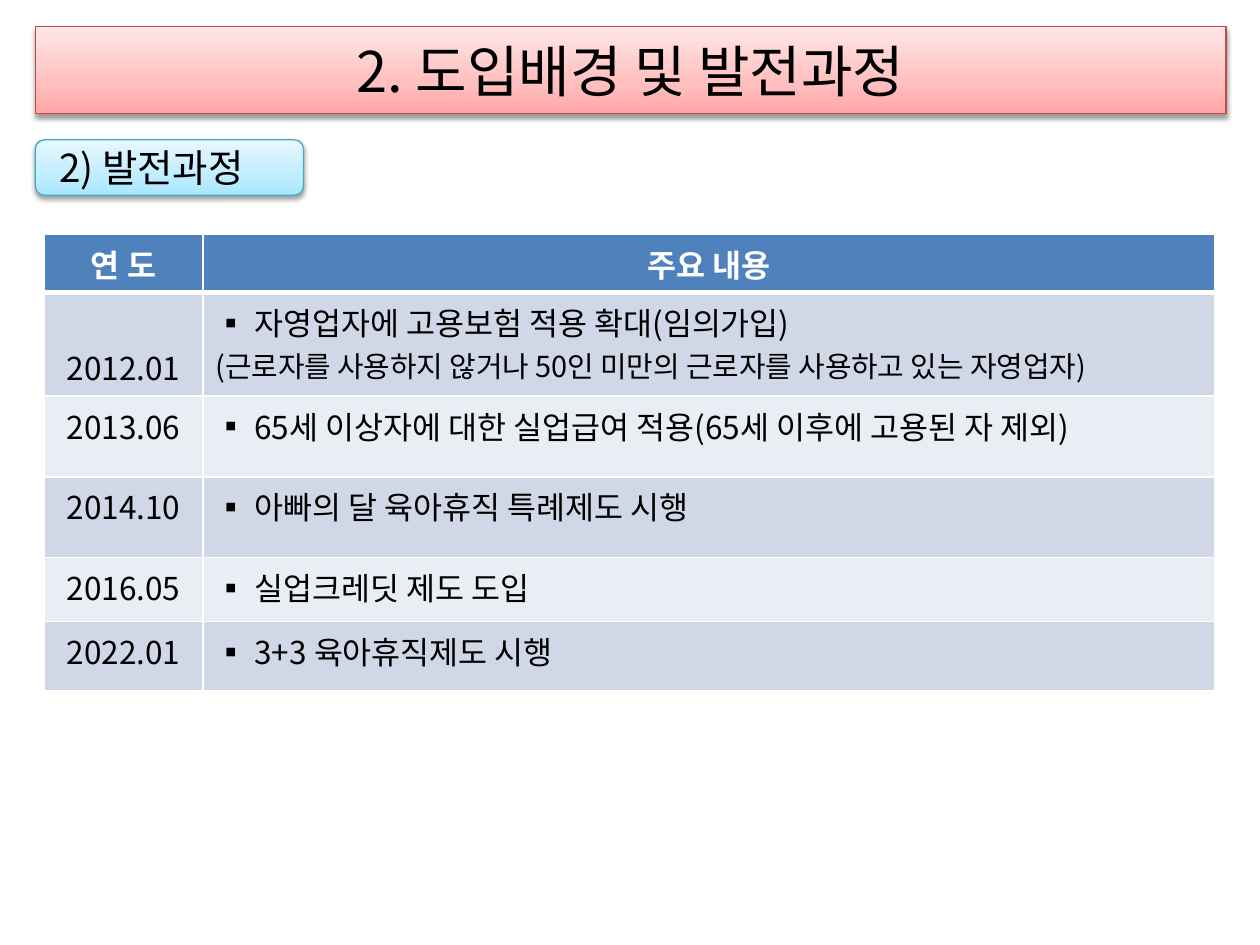
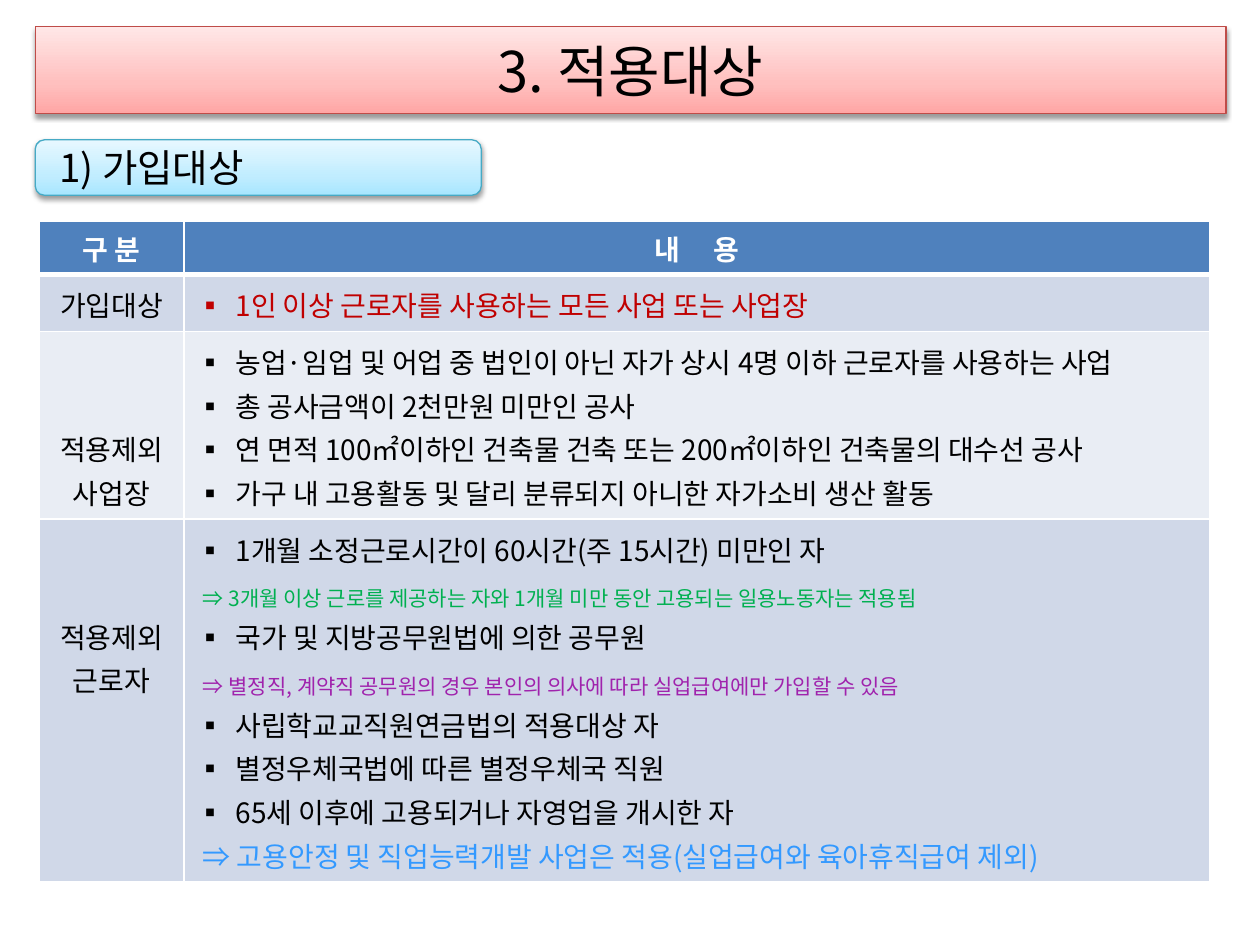
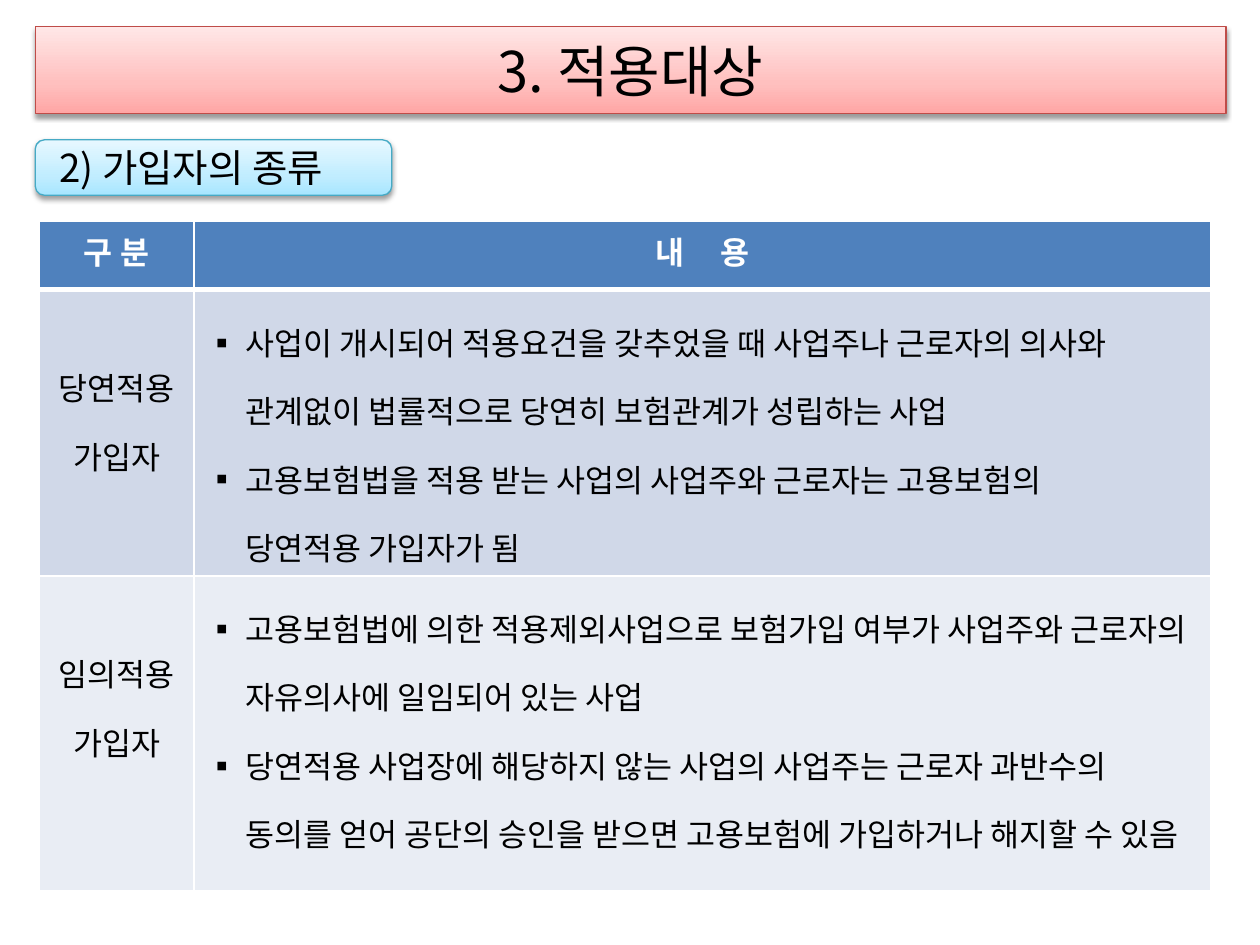
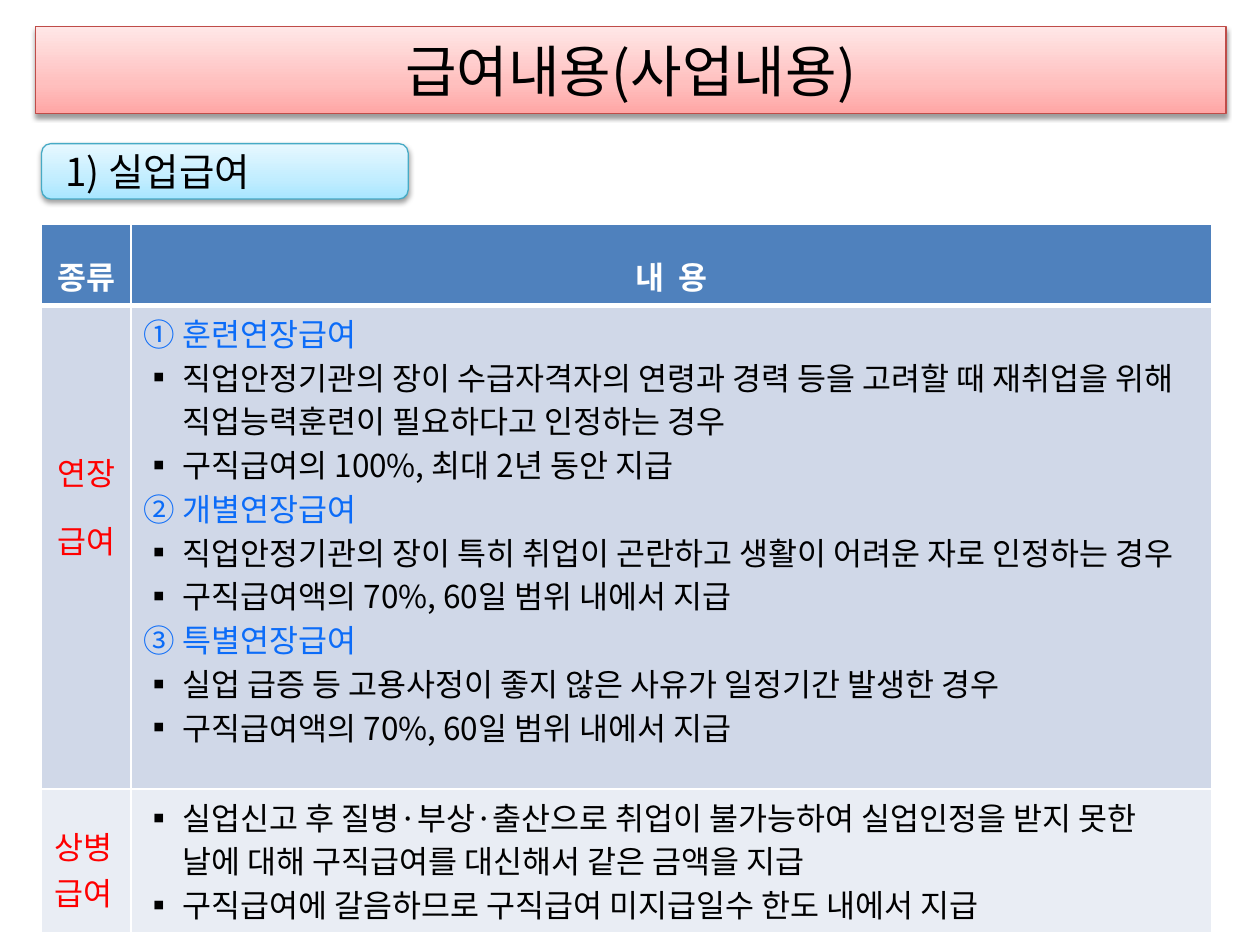
from dataclasses import dataclass, field

from lxml import etree
from pptx import Presentation
from pptx.dml.color import RGBColor
from pptx.enum.shapes import MSO_SHAPE
from pptx.enum.text import MSO_ANCHOR, PP_ALIGN
from pptx.oxml.ns import qn
from pptx.util import Inches, Pt

RECT, ROUND_RECT = MSO_SHAPE.RECTANGLE, MSO_SHAPE.ROUNDED_RECTANGLE
LEFT, CENTER = PP_ALIGN.LEFT, PP_ALIGN.CENTER
MIDDLE = MSO_ANCHOR.MIDDLE


@dataclass(frozen=True)
class Theme:
    font: str = "Noto Sans CJK KR"
    title_size: float = 32
    tab_size: float = 22
    text_size: float = 18
    small_size: float = 16
    note_size: float = 12
    black: str = "000000"
    white: str = "FFFFFF"
    header: str = "4F81BD"
    bands: tuple = ("D0D8E8", "E9EDF4")
    title_fill: tuple = ("FFA6A5", "FFC0BF", "FFE7E7")
    title_line: str = "BF4C48"
    tab_fill: tuple = ("A7E6FF", "C1EDFF", "E7F8FF")
    tab_line: str = "46AAC5"
    gradient_stops: tuple = (0, 35, 100)
    dark_red: str = "C00000"
    red: str = "FF0000"
    green: str = "00B050"
    purple: str = "A023AD"
    sky: str = "3399FF"
    blue: str = "0C6CF8"


THEME = Theme()
FIXED = Pt(25)  # exact line pitch of the dense tables


@dataclass
class Para:
    text: str
    color: str = THEME.black
    size: float = THEME.text_size
    spacing: object = None
    bullet: bool = False
    align: object = LEFT
    indent: float = 0
    bold: bool = False
    gap: float = 0  # extra points of width for each space


@dataclass
class Cell:
    paras: list
    drop: float = 0  # distance by which the text is lowered


@dataclass
class Grid:
    left: float
    top: float
    cols: tuple
    heights: tuple
    header: list
    rows: list = field(default_factory=list)


# Text
def add_run(p, text, para):
    r = p.add_run()
    r.text = text
    r.font.name = THEME.font
    r.font.size = Pt(para.size)
    r.font.bold = para.bold
    r.font.color.rgb = RGBColor.from_string(para.color)
    rPr = r._r.get_or_add_rPr()
    ea = etree.Element(qn("a:ea"), typeface=THEME.font)
    rPr.find(qn("a:latin")).addnext(ea)
    if para.gap and text == " ":
        rPr.set("spc", str(int(para.gap * 100)))


def add_bullet(p):
    pPr = p._p.get_or_add_pPr()
    pPr.set("marL", str(Inches(0.31)))
    pPr.set("indent", str(Inches(-0.31)))
    etree.SubElement(pPr, qn("a:buFont"), typeface=THEME.font)
    etree.SubElement(pPr, qn("a:buChar"), char="▪")


def write(tf, paras):
    for i, para in enumerate(paras):
        p = tf.paragraphs[0] if i == 0 else tf.add_paragraph()
        if para.bullet:
            add_bullet(p)
        elif para.indent:
            p._p.get_or_add_pPr().set("marL", str(Inches(para.indent)))
        p.alignment = para.align
        if para.spacing:
            p.line_spacing = para.spacing
        for j, line in enumerate(para.text.split("\n")):
            if j:
                p.add_line_break()
            parts = line.partition(" ") if para.gap else (line,)
            for part in parts:
                add_run(p, part, para)


def bullets(*texts, **style):
    return [Para(text, bullet=True, **style) for text in texts]


def label(*texts, drop=0, align=CENTER, **style):
    return Cell([Para(text, align=align, **style) for text in texts], drop)


def header(text, **style):
    return label(text, color=THEME.white, bold=True, **style)


# Gradient panels
def set_gradient(sp, colors):
    sp.fill.gradient()
    sp.fill.gradient_angle = 90
    stops = sp._element.spPr.find(qn("a:gradFill")).find(qn("a:gsLst"))
    for old in list(stops):
        stops.remove(old)
    for pos, color in zip(THEME.gradient_stops, colors):
        gs = etree.SubElement(stops, qn("a:gs"), pos=str(pos * 1000))
        etree.SubElement(gs, qn("a:srgbClr"), val=color)


def set_shadow(sp):
    sp.shadow.inherit = False
    effects = sp._element.spPr.find(qn("a:effectLst"))
    shadow = etree.SubElement(effects, qn("a:outerShdw"), blurRad=str(Pt(3.1)),
                              dist=str(Pt(1.6)), dir="5400000", rotWithShape="0")
    color = etree.SubElement(shadow, qn("a:srgbClr"), val=THEME.black)
    etree.SubElement(color, qn("a:alpha"), val="38000")


def add_panel(s, kind, box, colors, line, para, inset=0.1):
    sp = s.shapes.add_shape(kind, *map(Inches, box))
    set_gradient(sp, colors)
    sp.line.color.rgb = RGBColor.from_string(line)
    sp.line.width = Pt(0.75)
    set_shadow(sp)
    tf = sp.text_frame
    tf.word_wrap = True
    tf.vertical_anchor = MIDDLE
    tf.margin_left = Inches(inset)
    write(tf, [para])


def add_title(s, text):
    add_panel(s, RECT, (0.28, 0.21, 9.45, 0.69), THEME.title_fill, THEME.title_line,
              Para(text, size=THEME.title_size, align=CENTER))


def add_tab(s, text, width, left=0.28, top=1.11):
    add_panel(s, ROUND_RECT, (left, top, width, 0.44), THEME.tab_fill, THEME.tab_line,
              Para(text, size=THEME.tab_size), inset=0.17)


# Tables
def set_borders(cell, top, bottom):
    tcPr = cell._tc.get_or_add_tcPr()
    for side, width in (("L", 1), ("R", 1), ("T", top), ("B", bottom)):
        ln = etree.SubElement(tcPr, qn(f"a:ln{side}"), w=str(Pt(width)))
        fill = etree.SubElement(ln, qn("a:solidFill"))
        etree.SubElement(fill, qn("a:srgbClr"), val=THEME.white)


def add_grid(s, grid):
    rows = [grid.header] + grid.rows
    frame = s.shapes.add_table(len(rows), len(grid.cols), Inches(grid.left),
                               Inches(grid.top), Inches(sum(grid.cols)),
                               Inches(sum(grid.heights)))
    table = frame.table
    for column, width in zip(table.columns, grid.cols):
        column.width = Inches(width)
    for i, (row, height) in enumerate(zip(rows, grid.heights)):
        table.rows[i].height = Inches(height)
        color = THEME.bands[(i - 1) % 2] if i else THEME.header
        for j, content in enumerate(row):
            cell = table.cell(i, j)
            set_borders(cell, 3 if i == 1 else 1, 3 if i == 0 else 1)
            cell.fill.solid()
            cell.fill.fore_color.rgb = RGBColor.from_string(color)
            cell.margin_top = Inches(0.05 + content.drop)
            write(cell.text_frame, content.paras)


# Slide content
def history_grid():
    events = [
        ("2012.01", "자영업자에 고용보험 적용 확대(임의가입)"),
        ("2013.06", "65세 이상자에 대한 실업급여 적용(65세 이후에 고용된 자 제외)"),
        ("2014.10", "아빠의 달 육아휴직 특례제도 시행"),
        ("2016.05", "실업크레딧 제도 도입"),
        ("2022.01", "3+3 육아휴직제도 시행"),
    ]
    rows = [[label(date), Cell(bullets(text))] for date, text in events]
    first_date, first_event = rows[0]
    first_date.drop = 0.36
    first_event.paras.append(Para(
        "(근로자를 사용하지 않거나 50인 미만의 근로자를 사용하고 있는 자영업자)", size=16.5))
    return Grid(0.35, 1.86, (1.26, 8.03), (0.46, 0.81, 0.64, 0.64, 0.51, 0.55),
                [header("연 도"), header("주요 내용")], rows)


def coverage_grid():
    style = dict(size=THEME.small_size, spacing=FIXED)

    def note(text, color, size=THEME.note_size):
        return Para(text, color, size, FIXED, indent=0.05)

    workplaces = bullets(
        "농업·임업 및 어업 중 법인이 아닌 자가 상시 4명 이하 근로자를 사용하는 사업",
        "총 공사금액이 2천만원 미만인 공사",
        "연 면적 100㎡이하인 건축물 건축 또는 200㎡이하인 건축물의 대수선 공사",
        "가구 내 고용활동 및 달리 분류되지 아니한 자가소비 생산 활동", **style)
    workers = [
        *bullets("1개월 소정근로시간이 60시간(주 15시간) 미만인 자", **style),
        note("⇒ 3개월 이상 근로를 제공하는 자와 1개월 미만 동안 고용되는 일용노동자는 적용됨",
             THEME.green),
        *bullets("국가 및 지방공무원법에 의한 공무원", **style),
        note("⇒ 별정직, 계약직 공무원의 경우 본인의 의사에 따라 실업급여에만 가입할 수 있음",
             THEME.purple),
        *bullets("사립학교교직원연금법의 적용대상 자",
                 "별정우체국법에 따른 별정우체국 직원",
                 "65세 이후에 고용되거나 자영업을 개시한 자", **style),
        note("⇒ 고용안정 및 직업능력개발 사업은 적용(실업급여와 육아휴직급여 제외)",
             THEME.sky, THEME.small_size),
    ]
    rows = [
        [label("가입대상", **style),
         Cell(bullets("1인 이상 근로자를 사용하는 모든 사업 또는 사업장",
                      color=THEME.dark_red, **style))],
        [label("적용제외사업장", drop=0.69, **style), Cell(workplaces)],
        [label("적용제외근로자", drop=0.69, **style), Cell(workers)],
    ]
    return Grid(0.31, 1.76, (1.15, 8.14), (0.42, 0.45, 1.49, 2.88),
                [header("구 분", size=THEME.small_size),
                 header("내 용", size=THEME.small_size, gap=15)], rows)


def member_grid():
    groups = [
        ("당연적용",
         "사업이 개시되어 적용요건을 갖추었을 때 사업주나 근로자의 의사와 "
         "관계없이 법률적으로 당연히 보험관계가 성립하는 사업",
         "고용보험법을 적용 받는 사업의 사업주와 근로자는 고용보험의\n당연적용 가입자가 됨"),
        ("임의적용",
         "고용보험법에 의한 적용제외사업으로 보험가입 여부가 사업주와 근로자의 "
         "자유의사에 일임되어 있는 사업",
         "당연적용 사업장에 해당하지 않는 사업의 사업주는 근로자 과반수의 "
         "동의를 얻어 공단의 승인을 받으면 고용보험에 가입하거나 해지할 수 있음"),
    ]
    rows = [[label(name, "가입자", drop=0.36, spacing=1.5),
             Cell(bullets(*texts, spacing=1.5))] for name, *texts in groups]
    return Grid(0.31, 1.76, (1.23, 8.07), (0.54, 2.26, 2.5),
                [header("구 분"), header("내 용", gap=17)], rows)


def benefit_grid():
    extensions = [
        ("① 훈련연장급여",
         "직업안정기관의 장이 수급자격자의 연령과 경력 등을 고려할 때 재취업을 위해 "
         "직업능력훈련이 필요하다고 인정하는 경우",
         "구직급여의 100%, 최대 2년 동안 지급"),
        ("② 개별연장급여",
         "직업안정기관의 장이 특히 취업이 곤란하고 생활이 어려운 자로 인정하는 경우",
         "구직급여액의 70%, 60일 범위 내에서 지급"),
        ("③ 특별연장급여",
         "실업 급증 등 고용사정이 좋지 않은 사유가 일정기간 발생한 경우",
         "구직급여액의 70%, 60일 범위 내에서 지급"),
    ]
    extended = []
    for name, *texts in extensions:
        extended.append(Para(name, THEME.blue, spacing=FIXED))
        extended += bullets(*texts, spacing=FIXED)
    sickness = bullets(
        "실업신고 후 질병·부상·출산으로 취업이 불가능하여 실업인정을 받지 못한 "
        "날에 대해 구직급여를 대신해서 같은 금액을 지급",
        "구직급여에 갈음하므로 구직급여 미지급일수 한도 내에서 지급", spacing=FIXED)
    rows = [
        [label("연장", "급여", drop=0.91, spacing=1.5, color=THEME.red), Cell(extended)],
        [label("상병급여", drop=0.22, align=LEFT, color=THEME.red), Cell(sickness)],
    ]
    return Grid(0.33, 1.78, (0.71, 8.58), (0.64, 3.84, 1.14),
                [header("종류", spacing=1.5), header("내 용", spacing=1.5, gap=4)], rows)


def main():
    prs = Presentation()
    prs.slide_width, prs.slide_height = Inches(10), Inches(7.5)
    pages = [
        ("2. 도입배경 및 발전과정", dict(text="2) 발전과정", width=2.13), history_grid()),
        ("3. 적용대상", dict(text="1) 가입대상", width=3.54), coverage_grid()),
        ("3. 적용대상", dict(text="2) 가입자의 종류", width=2.83), member_grid()),
        ("급여내용(사업내용)",
         dict(text="1) 실업급여", width=2.91, left=0.33, top=1.14), benefit_grid()),
    ]
    for title, tab, grid in pages:
        s = prs.slides.add_slide(prs.slide_layouts[6])
        add_title(s, title)
        add_grid(s, grid)
        add_tab(s, **tab)
    prs.save("out.pptx")


if __name__ == "__main__":
    main()
